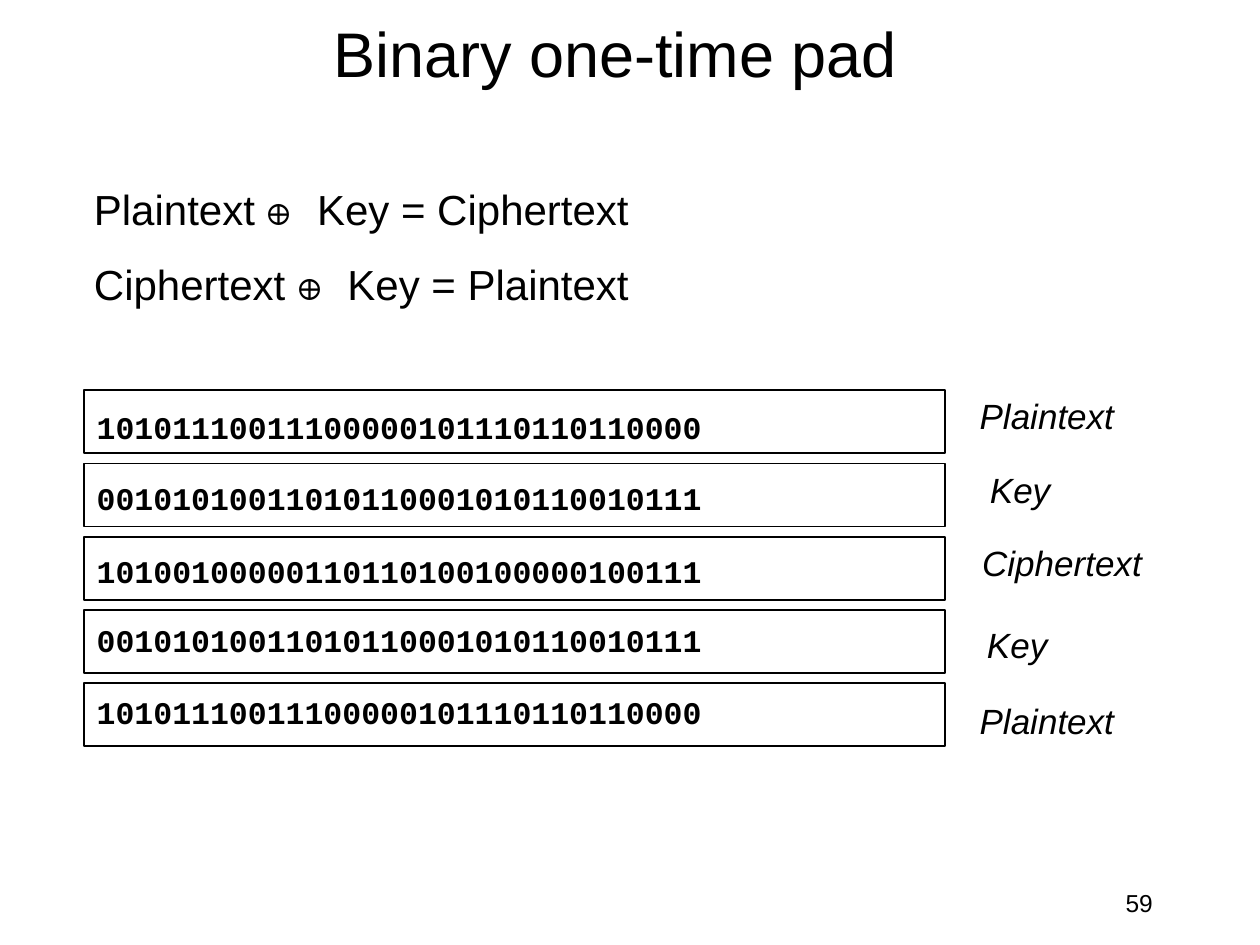
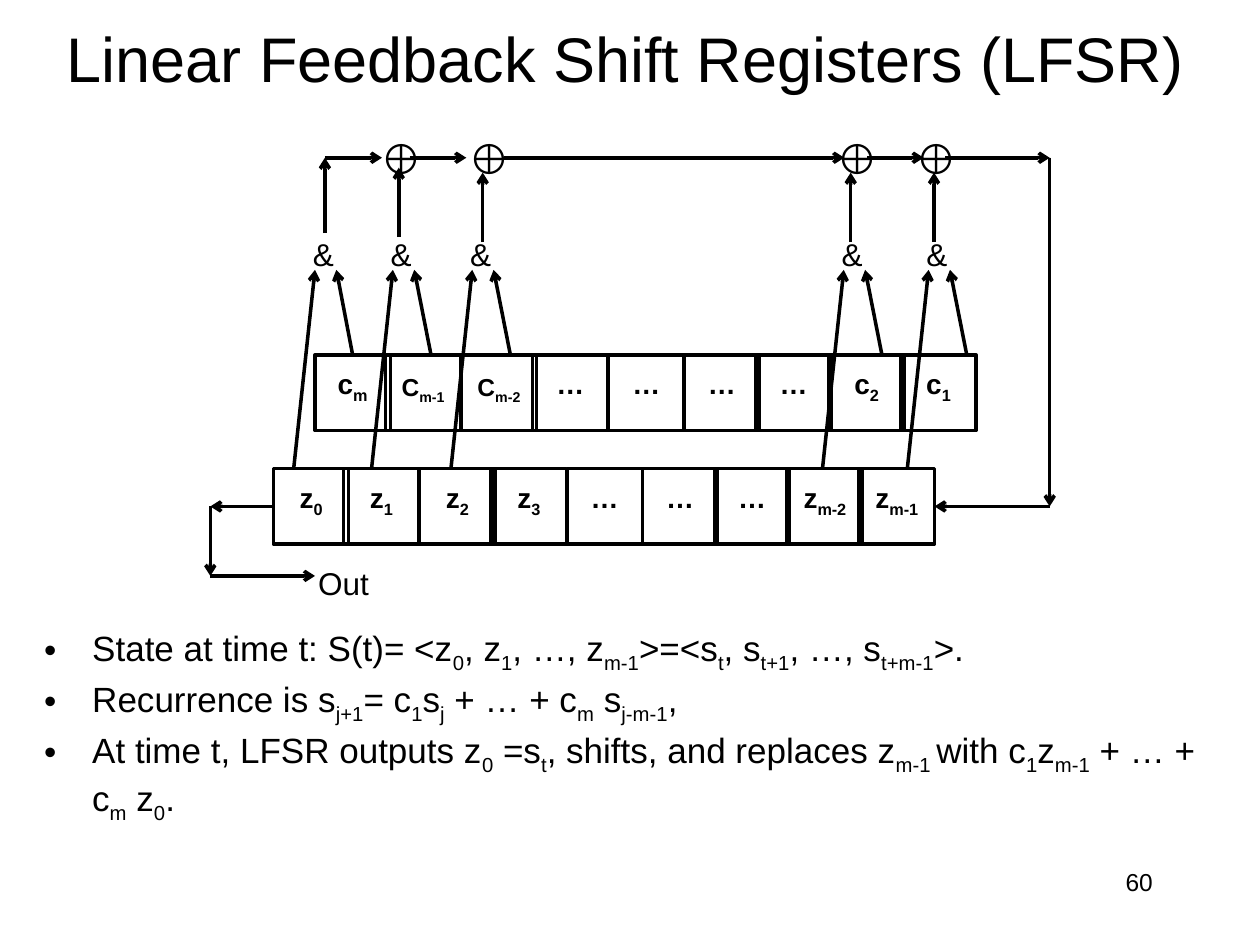
"""Build two lecture slides on the one-time pad and shift registers."""
from lxml.etree import SubElement
from pptx import Presentation
from pptx.dml.color import RGBColor
from pptx.enum.shapes import MSO_CONNECTOR, MSO_SHAPE
from pptx.enum.text import MSO_ANCHOR, MSO_AUTO_SIZE, PP_ALIGN
from pptx.oxml.ns import qn
from pptx.util import Cm, Pt

COLORS = {"ink": "000000", "paper": "FFFFFF"}
SANS, MONO = "Arial", "Courier New"

EQUATIONS = [("Plaintext ", "Key = Ciphertext", 3.58), ("Ciphertext ", "Key = Plaintext", 5.08)]
PLAIN_BITS = "10101110011100000101110110110000"
KEY_BITS = "00101010011010110001010110010111"
CIPHER_BITS = "10100100000110110100100000100111"
BIT_ROWS = [
    (PLAIN_BITS, 0.36, "Plaintext", 19.48, 7.82, 3.25),
    (KEY_BITS, 0.31, "Key", 19.69, 9.32, 1.75),
    (CIPHER_BITS, 0.31, "Ciphertext", 19.53, 10.8, 3.76),
    (KEY_BITS, 0.22, "Key", 19.63, 12.45, 1.75),
    (PLAIN_BITS, 0.2, "Plaintext", 19.48, 13.97, 3.25),
]

CELL = 1.52
CELL_OFFSETS = [0, 1.42, 2.95, 4.39, 5.92, 7.44, 8.89, 10.36, 11.81]
TAPS = ["c|m", "C|m-1", "C|m-2", "…", "…", "…", "…", "c|2", "c|1"]
STATE = ["z|0", "z|1", "z|2", "z|3", "…", "…", "…", "z|m-2", "z|m-1"]
TAP_TOP, STATE_TOP = 7.16, 9.45
STATE_MID = STATE_TOP + CELL / 2
GATES = [
    (6.05, 6.55, 4.7, 3.18),
    (7.62, 8.04, 4.78, 3.38),
    (9.22, 9.73, 4.88, 3.48),
    (16.71, 17.15, 4.88, 3.48),
    (18.42, 18.83, 4.88, 3.48),
]
XOR_LEFTS = [7.42, 9.19, 16.61, 18.21]
SUM_Y, RETURN_X, OUT_X, OUT_Y = 3.18, 21.16, 4.24, 11.61
SUM_SPANS = [(6.55, 7.7), (8.26, 9.4), (10.16, 17.02), (17.48, 18.62), (19.05, RETURN_X)]
NOTES = [
    "State at time t: S(t)= <z|0|, z|1|, …, z|m-1|>=<s|t|, s|t+1|, …, s|t+m-1|>.",
    "Recurrence is s|j+1|= c|1|s|j| + … + c|m| s|j-m-1|,",
    "At time t, LFSR outputs z|0| =s|t|, shifts, and replaces z|m-1 |with c|1|z|m-1| + … + c|m| z|0|.",
]


def color(name):
    return RGBColor.from_string(COLORS[name])


def add_run(p, text, size, font=SANS, bold=False, italic=False):
    r = p.add_run()
    r.text = text
    f = r.font
    f.size, f.name, f.bold, f.italic = Pt(size), font, bold, italic
    f.color.rgb = color("ink")
    return r


def add_runs(p, text, size, **style):
    """Add runs, with every second part between bars as a subscript."""
    for i, part in enumerate(text.split("|")):
        r = add_run(p, part, size, **style)
        if i % 2:
            r._r.get_or_add_rPr().set("baseline", "-25000")


def add_box(s, left, top, width, height, wrap=False, align=PP_ALIGN.CENTER):
    tf = s.shapes.add_textbox(Cm(left), Cm(top), Cm(width), Cm(height)).text_frame
    tf.word_wrap = wrap
    tf.paragraphs[0].alignment = align
    return tf


def add_label(s, text, left, top, width, height, size, **style):
    add_runs(add_box(s, left, top, width, height).paragraphs[0], text, size, **style)


def add_title(s, text, left, top, width, height):
    sp = s.shapes.title
    sp.left, sp.top, sp.width, sp.height = Cm(left), Cm(top), Cm(width), Cm(height)
    tf = sp.text_frame
    tf.auto_size = MSO_AUTO_SIZE.NONE
    tf.vertical_anchor = MSO_ANCHOR.MIDDLE
    p = tf.paragraphs[0]
    p.alignment = PP_ALIGN.CENTER
    add_run(p, text, 36)


def add_page_number(s, number, top):
    tf = add_box(s, 18.21, top, 5.28, 1.27, wrap=True, align=PP_ALIGN.RIGHT)
    add_run(tf.paragraphs[0], number, 14)


def add_rect(s, left, top, width, height, line, drop):
    """Add an outlined rectangle whose text starts at the given drop."""
    sp = s.shapes.add_shape(MSO_SHAPE.RECTANGLE, Cm(left), Cm(top), Cm(width), Cm(height))
    sp.shadow.inherit = False
    sp.fill.background()
    sp.line.color.rgb = color("ink")
    sp.line.width = Pt(line)
    tf = sp.text_frame
    tf.word_wrap = False
    tf.vertical_anchor = MSO_ANCHOR.TOP
    tf.margin_top = Cm(drop)
    return sp


def add_bit_bar(s, bits, top, drop):
    sp = add_rect(s, 1.7, top, 17.35, 1.27, 1, drop)
    sp.fill.solid()
    sp.fill.fore_color.rgb = color("paper")
    p = sp.text_frame.paragraphs[0]
    p.alignment = PP_ALIGN.LEFT
    add_run(p, bits, 18, MONO, bold=True)


def add_register(s, names, left, top):
    cells = []
    for name, offset in zip(names, CELL_OFFSETS):
        size, drop = (14, 0.33) if name.startswith("C") else (16, 0.23)
        sp = add_rect(s, left + offset, top, CELL, CELL, 2, drop)
        sp.text_frame.margin_left = sp.text_frame.margin_right = 0
        p = sp.text_frame.paragraphs[0]
        p.alignment = PP_ALIGN.CENTER
        add_runs(p, name, size, bold=True)
        cells.append(sp)
    return cells


def add_arrow(s, x1, y1, x2, y2):
    c = s.shapes.add_connector(MSO_CONNECTOR.STRAIGHT, Cm(x1), Cm(y1), Cm(x2), Cm(y2))
    c.line.color.rgb = color("ink")
    c.line.width = Pt(2)
    SubElement(c.line._get_or_add_ln(), qn("a:tailEnd"), type="arrow")
    SubElement(c._element.spPr, qn("a:effectLst"))
    return c


def add_gate(s, left, up_x, up_from, up_to):
    """Add an AND gate with its two inputs and its output, returning the tap input."""
    add_label(s, "&", left, 4.62, 0.94, 1.02, 18)
    add_arrow(s, left - 0.13, STATE_TOP, left + 0.3, 5.44)
    add_arrow(s, up_x, up_from, up_x, up_to)
    return add_arrow(s, left + 1.07, TAP_TOP, left + 0.73, 5.44)


def add_bullets(s, lines):
    tf = add_box(s, 0.64, 12.5, 24.33, 5.08, wrap=True, align=PP_ALIGN.LEFT)
    for i, line in enumerate(lines):
        p = tf.add_paragraph() if i else tf.paragraphs[0]
        pPr = p._p.get_or_add_pPr()
        pPr.set("marL", str(Cm(0.97)))
        pPr.set("indent", str(-Cm(0.97)))
        SubElement(pPr, qn("a:buFont"), typeface=SANS)
        SubElement(pPr, qn("a:buChar"), char="•")
        if i:
            p.space_before = Pt(2)
        add_runs(p, line, 20)


def build_pad_slide(s):
    add_title(s, "Binary one-time pad", 1.07, 0, 22.66, 2.11)
    for first, rest, top in EQUATIONS:
        p = add_box(s, 1.52, top, 11.53, 1.27).paragraphs[0]
        add_run(p, first, 24)
        add_run(p, "⊕ ", 24, MONO)
        add_run(p, rest, 24)
    for i, (bits, drop, label, left, top, width) in enumerate(BIT_ROWS):
        add_bit_bar(s, bits, 7.87 + 1.475 * i, drop)
        add_label(s, label, left, top, width, 1.12, 20, italic=True)
    add_page_number(s, "59", 17.78)


def build_lfsr_slide(s):
    add_title(s, "Linear Feedback Shift Registers (LFSR)", 0.64, 0.43, 23.93, 1.47)
    add_bullets(s, NOTES)
    state_cells = add_register(s, STATE, 5.51, STATE_TOP)
    tap_cells = add_register(s, TAPS, 6.35, TAP_TOP)

    tap_inputs = [add_gate(s, *gate) for gate in GATES]
    tap_inputs[0].begin_connect(tap_cells[0], 0)
    for left in XOR_LEFTS:
        add_label(s, "⊕", left, 2.54, 1.17, 1.27, 24, bold=True)
    for start, end in SUM_SPANS:
        add_arrow(s, start, SUM_Y, end, SUM_Y)

    add_arrow(s, RETURN_X, SUM_Y, RETURN_X, STATE_MID)
    feedback = add_arrow(s, RETURN_X, STATE_MID, 18.84, STATE_MID)
    feedback.end_connect(state_cells[-1], 3)
    output = add_arrow(s, 5.51, STATE_MID, OUT_X, STATE_MID)
    output.begin_connect(state_cells[0], 1)
    add_arrow(s, OUT_X, STATE_MID, OUT_X, OUT_Y)
    add_arrow(s, OUT_X, OUT_Y, 6.35, OUT_Y)
    add_label(s, "Out", 6.15, 11.25, 1.55, 1.02, 18)
    add_page_number(s, "60", 17.35)


def main():
    prs = Presentation()
    prs.slide_width, prs.slide_height = Cm(25.4), Cm(19.05)
    for build in (build_pad_slide, build_lfsr_slide):
        build(prs.slides.add_slide(prs.slide_layouts[5]))
    prs.save("out.pptx")


if __name__ == "__main__":
    main()
